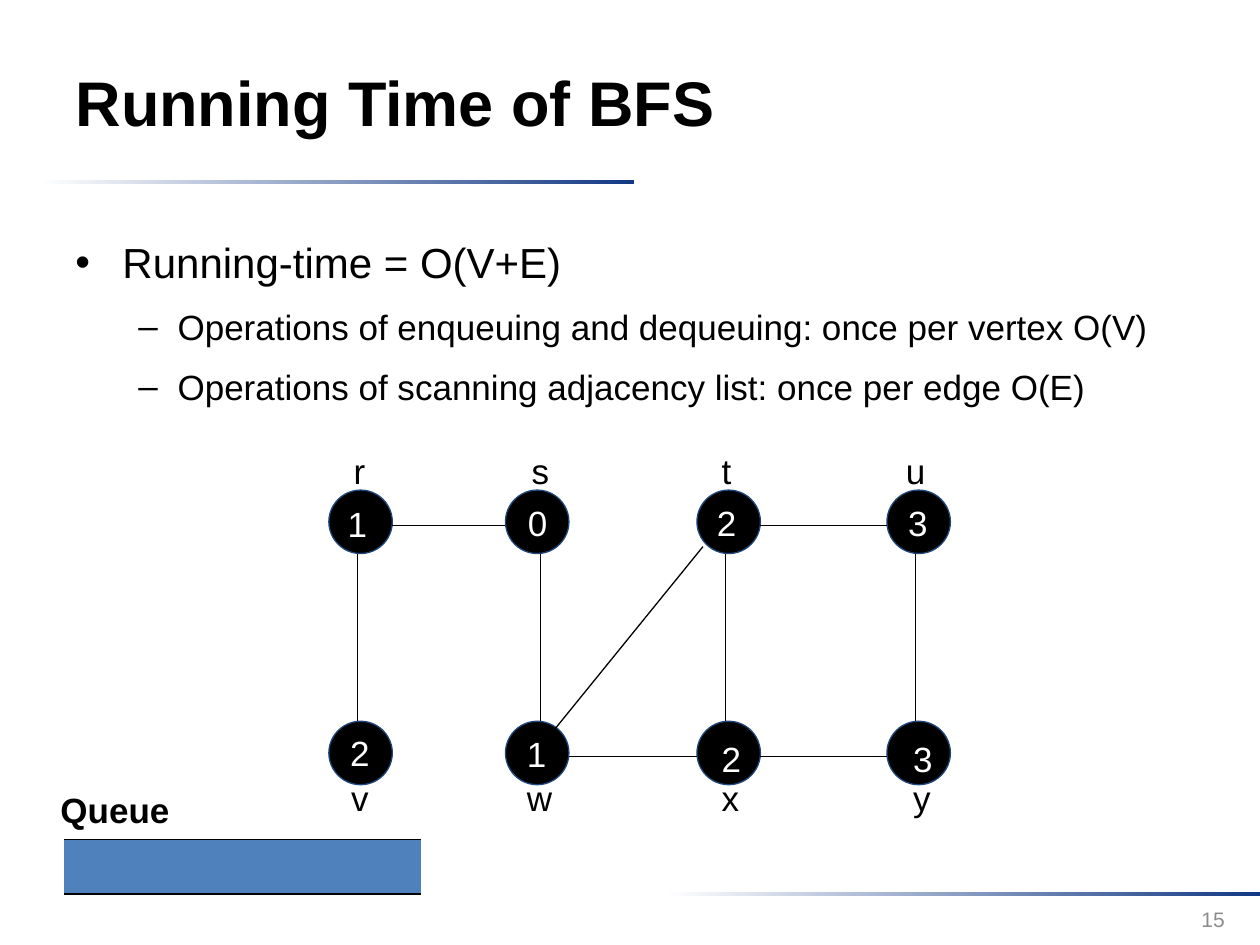
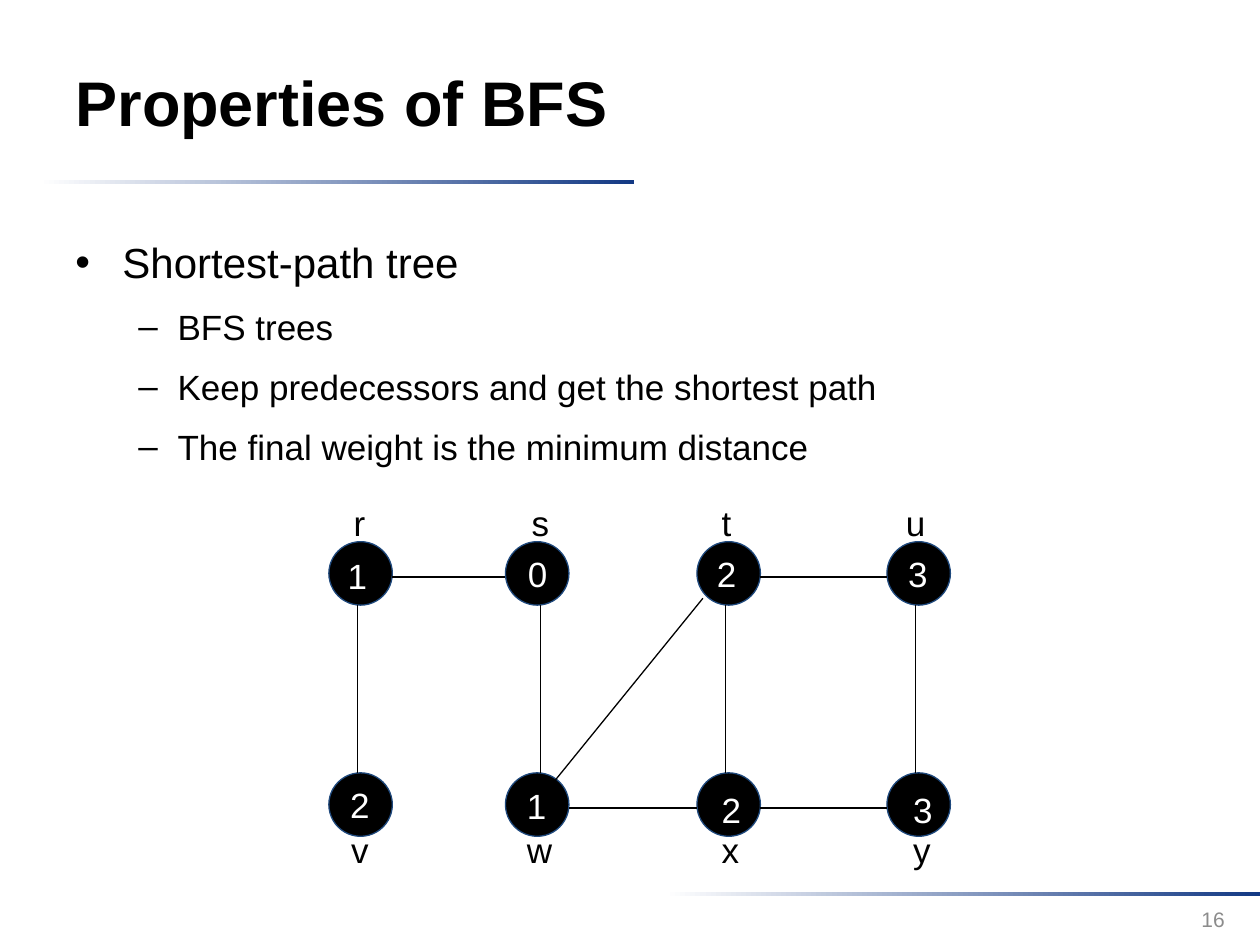
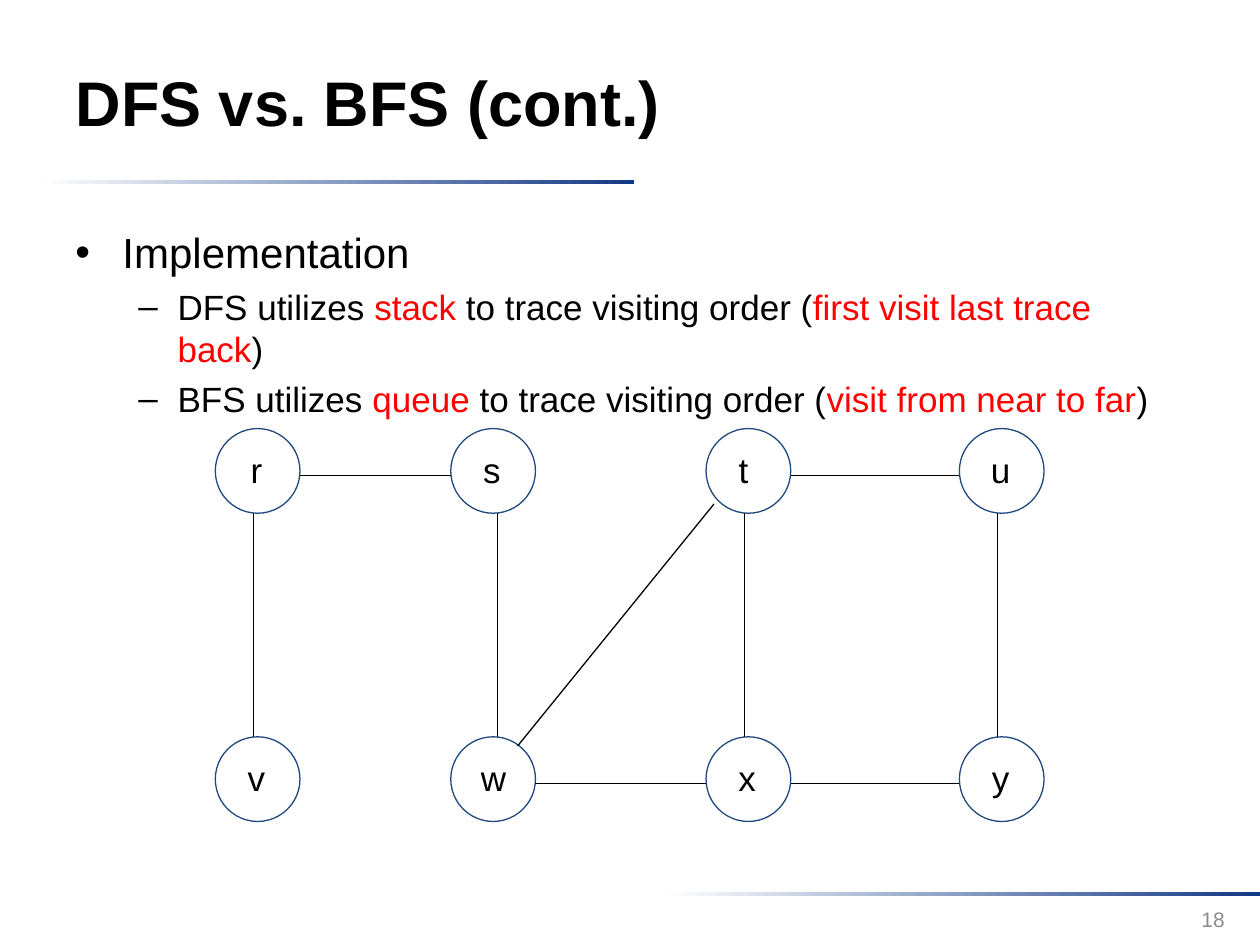
from pptx import Presentation
from pptx import util as u
from pptx.dml.color import RGBColor
from pptx.enum import shapes, text
from pptx.oxml import parse_xml
from pptx.oxml.ns import nsdecls

Cm, Pt = u.Cm, u.Pt
BLACK = RGBColor(0, 0, 0)
WHITE = RGBColor(255, 255, 255)
RED = RGBColor(255, 0, 0)
GREY = RGBColor(0x8C, 0x8C, 0x8C)
NAVY = RGBColor(0x13, 0x39, 0x84)
OUTLINE = RGBColor(0x1F, 0x49, 0x7D)
QUEUE_BLUE = RGBColor(0x4F, 0x81, 0xBD)
LEFT, CENTER, RIGHT = (text.PP_ALIGN.LEFT, text.PP_ALIGN.CENTER,
                       text.PP_ALIGN.RIGHT)
TOP, MIDDLE = text.MSO_ANCHOR.TOP, text.MSO_ANCHOR.MIDDLE

COLUMNS = [0, 3.56, 7.42, 11.25]
ROW_GAP, DIAMETER = 4.66, 1.28
VERTICALS = [0.58, 0.71, 0.58, 0.58]
HORIZONTALS = [(0, 0), (2, 0), (1, 1), (2, 1)]
HORIZONTAL_DY = 0.71
DIAGONAL = (4.57, 4.8, 7.54, 1.14)
VERTICES = [
    ("r", "1", 0.25, 0.13, 0.13), ("s", "0", 0.28, 0.2, 0.1),
    ("t", "2", 0.25, 0.15, 0.1), ("u", "3", 0.13, 0.18, 0.1),
    ("v", "2", 0.2, 0.18, 0.08), ("w", "1", 0.18, 0.18, 0.1),
    ("x", "2", 0.25, 0.25, 0.2), ("y", "3", 0.28, 0.28, 0.2),
]


def write(p, content, size=20, color=BLACK, bold=False, align=LEFT):
    p.alignment = align
    for i, part in enumerate(content.split("*")):
        r = p.add_run()
        r.text = part
        r.font.name = "Arial"
        r.font.size = Pt(size)
        r.font.bold = bold
        r.font.color.rgb = RED if i % 2 else color


def element(tag, inner="", attrs=""):
    return parse_xml(f"<a:{tag} {nsdecls('a')} {attrs}>{inner}</a:{tag}>")


class Deck:
    def __init__(self):
        self.prs = Presentation()
        self.prs.slide_width, self.prs.slide_height = Cm(25.4), Cm(19.05)
        self.s = None

    def slide(self, title, number):
        self.s = self.prs.slides.add_slide(self.prs.slide_layouts[5])
        self.bar(0.79, 3.63)
        self.bar(13.41, 17.98)
        sp = self.s.shapes.title
        sp.left, sp.top, sp.width, sp.height = Cm(1.27), Cm(0.46), Cm(19.63), Cm(3.18)
        sp.text_frame.vertical_anchor = MIDDLE
        write(sp.text_frame.paragraphs[0], title, size=36, bold=True)
        self.label(str(number), 19.02, 18.01, 5.92, 1.02, anchor=MIDDLE,
                   size=12, color=GREY, align=RIGHT)

    def bar(self, x, y):
        sp = self.s.shapes.add_shape(shapes.MSO_SHAPE.RECTANGLE,
                                     Cm(x), Cm(y), Cm(11.99), Cm(0.08))
        sp.shadow.inherit = False
        sp.line.fill.background()
        sp.fill.gradient()
        sp.fill.gradient_angle = 0
        for stop, position, color in zip(sp.fill.gradient_stops, (0, 1), (WHITE, NAVY)):
            stop.position = position
            stop.color.rgb = color

    def frame(self, x, y, w, h, wrap=True, anchor=TOP):
        tf = self.s.shapes.add_textbox(Cm(x), Cm(y), Cm(w), Cm(h)).text_frame
        tf.word_wrap = wrap
        tf.vertical_anchor = anchor
        return tf

    def label(self, content, x, y, w, h, wrap=True, anchor=TOP, **style):
        tf = self.frame(x, y, w, h, wrap, anchor)
        write(tf.paragraphs[0], content, **style)

    def bullets(self, heading, items, spacing=1.2):
        tf = self.frame(1.27, 4.45, 22.86, 12.57)
        for i, content in enumerate([heading] + items):
            p = tf.add_paragraph() if i else tf.paragraphs[0]
            size, mark, margin, hang = ((20, "–", 2.06, 0.79) if i
                                        else (24, "•", 0.95, 0.95))
            write(p, content, size=size)
            p.level = 1 if i else 0
            p.line_spacing = spacing
            p.space_before = Pt(round(0.23 * size * spacing, 1))
            pPr = p._p.get_or_add_pPr()
            pPr.set("marL", str(Cm(margin)))
            pPr.set("indent", str(-Cm(hang)))
            pPr.append(element("buFont", attrs='typeface="Arial"'))
            pPr.append(element("buChar", attrs=f'char="{mark}"'))

    def circle(self, x, y, d, fill):
        sp = self.s.shapes.add_shape(shapes.MSO_SHAPE.OVAL, Cm(x), Cm(y), Cm(d), Cm(d))
        sp.shadow.inherit = False
        sp.fill.solid()
        sp.fill.fore_color.rgb = fill
        sp.line.color.rgb = OUTLINE
        sp.line.width = Pt(0.75)

    def line(self, x1, y1, x2, y2):
        sp = self.s.shapes.add_connector(shapes.MSO_CONNECTOR.STRAIGHT,
                                         Cm(x1), Cm(y1), Cm(x2), Cm(y2))
        sp.line.color.rgb = BLACK
        sp.line.width = Pt(0.75)
        sp._element.spPr.append(element("effectLst"))

    def edges(self, x, y, k):
        ends = [(c + dx, DIAMETER, c + dx, ROW_GAP)
                for c, dx in zip(COLUMNS, VERTICALS)]
        for c, row in HORIZONTALS:
            level = row * ROW_GAP + HORIZONTAL_DY
            ends.append((COLUMNS[c] + DIAMETER, level, COLUMNS[c + 1], level))
        for x1, y1, x2, y2 in ends + [DIAGONAL]:
            self.line(x + k * x1, y + k * y1, x + k * x2, y + k * y2)

    def visited_graph(self, x, y):
        for i, (name, distance, name_dx, dx, dy) in enumerate(VERTICES):
            row, col = divmod(i, 4)
            left, top = x + COLUMNS[col], y + row * ROW_GAP
            self.circle(left, top, DIAMETER, BLACK)
            self.label(distance, left + dx, top + dy, 0.71, 0.84, color=WHITE)
            self.label(name, left + name_dx, top + (0.99 if row else -0.94), 0.56, 0.84)
        self.edges(x, y, 1)

    def plain_graph(self, x, y, k=4 / 3):
        for i, (name, *_) in enumerate(VERTICES):
            row, col = divmod(i, 4)
            left, top = x + k * COLUMNS[col], y + k * row * ROW_GAP
            dx, align = (0.41, LEFT) if name == "t" else (0.36, CENTER)
            self.circle(left, top, k * DIAMETER, WHITE)
            self.label(name, left + dx, top + 0.28, 0.94, 1.12, align=align)
        self.edges(x, y, k)

    def queue(self):
        self.label("Queue", 0.97, 15.77, 2.72, 1.12, wrap=False, bold=True)
        table = self.s.shapes.add_table(1, 1, Cm(1.27), Cm(16.92),
                                        Cm(7.24), Cm(1.1)).table
        table.first_row = table.horz_banding = False
        cell = table.cell(0, 0)
        cell.fill.solid()
        cell.fill.fore_color.rgb = QUEUE_BLUE
        tcPr = cell._tc.get_or_add_tcPr()
        for i, (tag, color) in enumerate([("lnR", WHITE), ("lnT", BLACK), ("lnB", BLACK)]):
            fill = f'<a:solidFill><a:srgbClr val="{color}"/></a:solidFill>'
            tcPr.insert(i, element(tag, fill, f'w="{Pt(1)}"'))


deck = Deck()

deck.slide("Running Time of BFS", 15)
deck.bullets("Running-time = O(V+E)", [
    "Operations of enqueuing and dequeuing: once per vertex O(V)",
    "Operations of scanning adjacency list: once per edge O(E)",
])
deck.visited_graph(6.63, 9.88)
deck.queue()

deck.slide("Properties of BFS", 16)
deck.bullets("Shortest-path tree", [
    "BFS trees",
    "Keep predecessors and get the shortest path",
    "The final weight is the minimum distance",
])
deck.visited_graph(6.63, 10.92)

deck.slide("DFS vs. BFS (cont.)", 18)
deck.bullets("Implementation", [
    "DFS utilizes *stack* to trace visiting order (*first visit last trace back*)",
    "BFS utilizes *queue* to trace visiting order (*visit from near to far*)",
], spacing=1.0)
deck.plain_graph(4.34, 8.64)

deck.prs.save("out.pptx")
